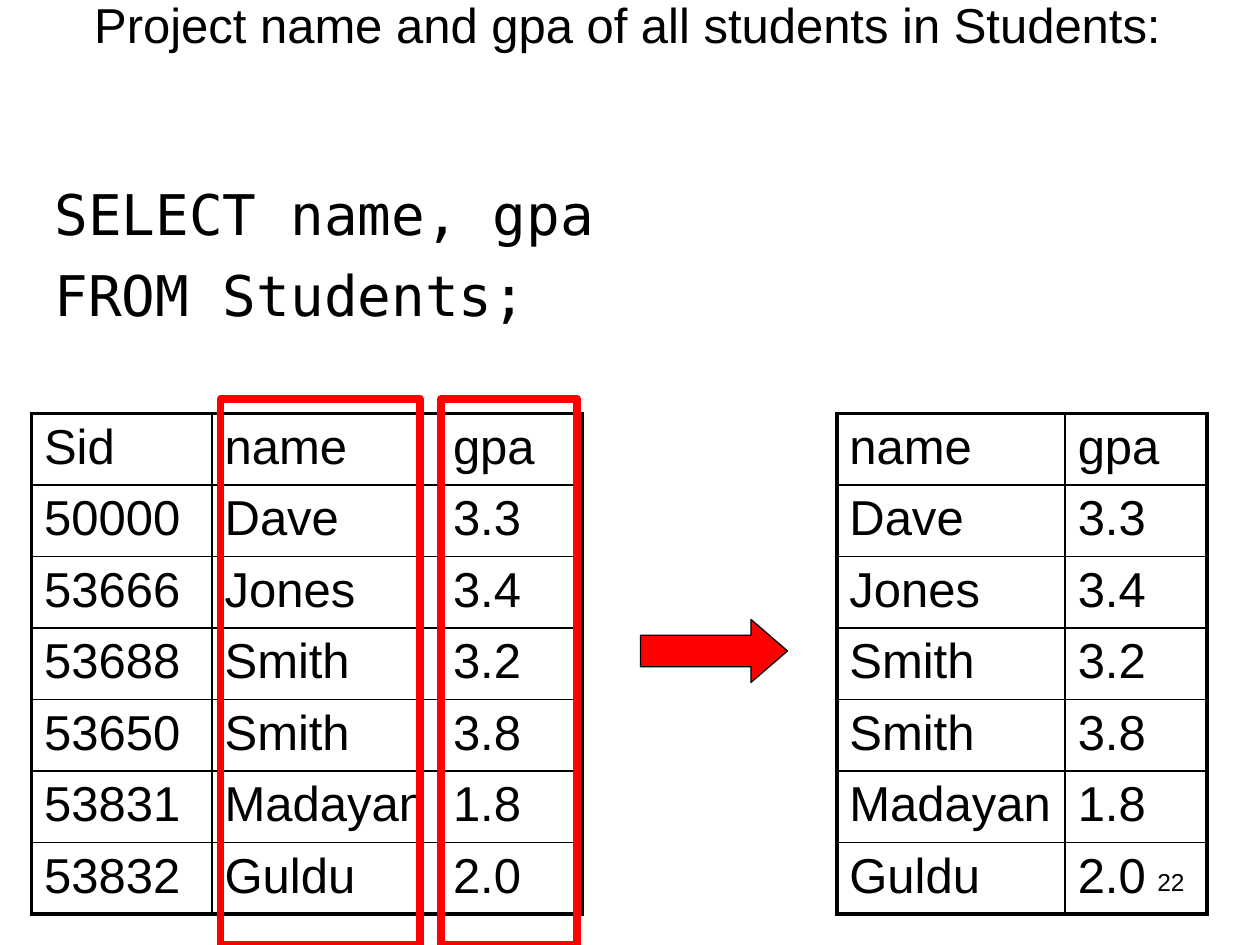
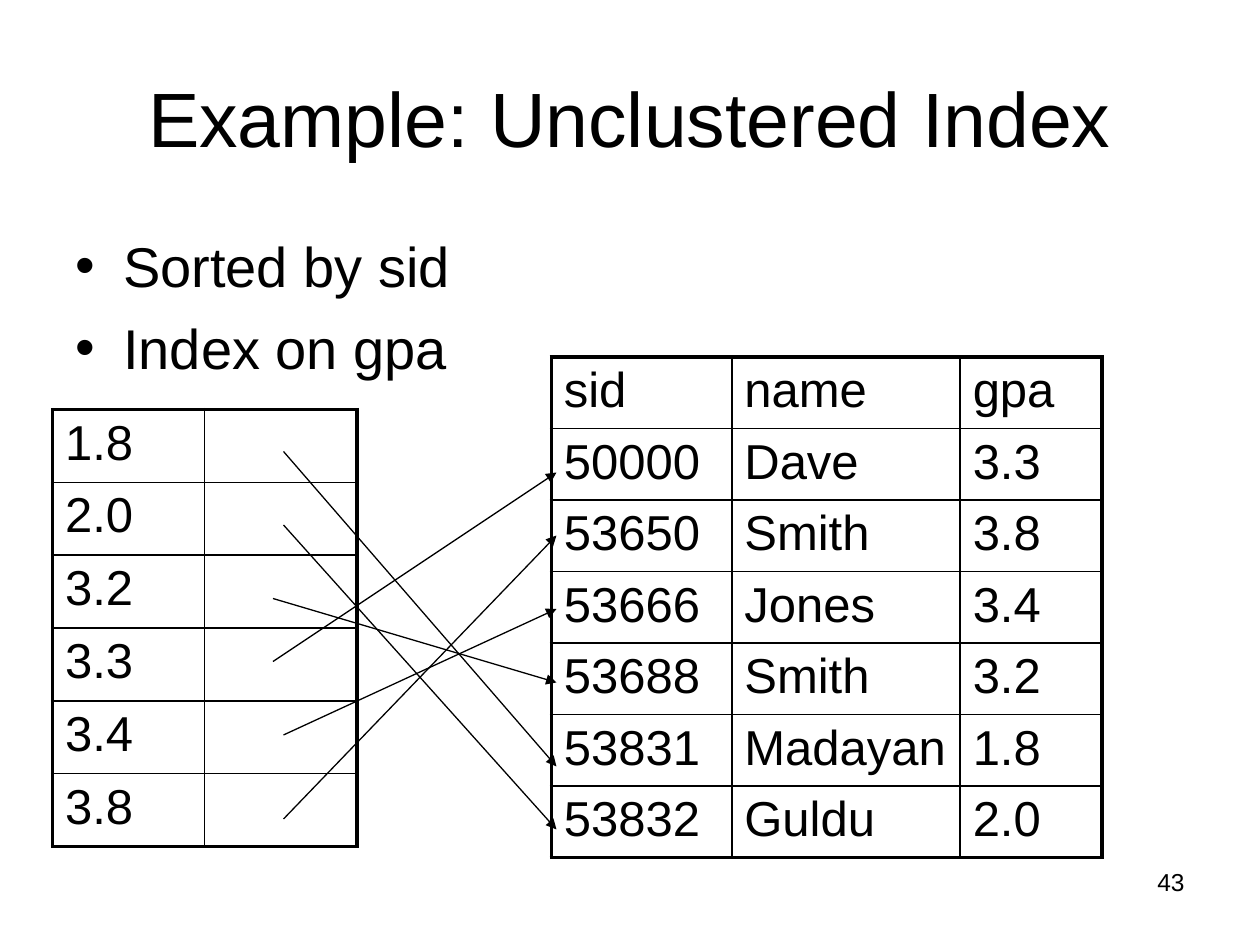
from dataclasses import dataclass

from lxml import etree
from pptx import Presentation
from pptx.dml.color import RGBColor
from pptx.enum.shapes import MSO_CONNECTOR, MSO_SHAPE
from pptx.enum.text import MSO_ANCHOR, PP_ALIGN
from pptx.oxml.ns import qn
from pptx.util import Inches, Pt

RECTANGLE, RIGHT_ARROW = MSO_SHAPE.RECTANGLE, MSO_SHAPE.RIGHT_ARROW
STRAIGHT = MSO_CONNECTOR.STRAIGHT
TOP, MIDDLE = MSO_ANCHOR.TOP, MSO_ANCHOR.MIDDLE
LEFT, CENTER, RIGHT = PP_ALIGN.LEFT, PP_ALIGN.CENTER, PP_ALIGN.RIGHT
GRID_COLUMNS, GRID_ROWS, CELLS_PER_INCH = 120, 90, 12


@dataclass(frozen=True)
class Theme:
    """Colours, fonts, type sizes and line widths of the deck."""
    ink: str = "000000"
    accent: str = "FF0000"
    sans: str = "Arial"
    mono: str = "DejaVu Sans Mono"
    title: int = 44
    body: int = 32
    table: int = 28
    number: int = 14
    body_gap: int = 8
    frame_line: float = 2.25
    inner_line: float = 1
    thin_line: float = 0.75
    highlight_line: float = 4.5


@dataclass(frozen=True)
class Box:
    """A region measured in grid columns and rows."""
    column: float
    row: float
    width: float
    height: float

    def inside(self, column, row, width, height):
        """Return a box placed relative to this one."""
        return Box(self.column + column, self.row + row, width, height)

    def lengths(self):
        """Return left, top, width and height for a shape."""
        return [grid(v) for v in (self.column, self.row, self.width, self.height)]


THEME = Theme()
PAGE = Box(0, 0, GRID_COLUMNS, GRID_ROWS)
SID_WIDTH, NAME_WIDTH, GPA_WIDTH = 17.2, 21.75, 13.5
STUDENT_ROW, INDEX_ROW, INDEX_WIDTH = 6.73, 6.94, 14.5


def grid(count):
    """Turn a count of grid cells into a length."""
    return Inches(count / CELLS_PER_INCH)


def colour(value):
    """Turn a hex value into a colour."""
    return RGBColor.from_string(value)


def add_span(para, text, size, font):
    """Add one run in the ink colour."""
    span = para.add_run()
    span.text = text
    span.font.size = Pt(size)
    span.font.name = font
    span.font.color.rgb = colour(THEME.ink)


def add_text_frame(page, box, anchor=TOP):
    """Add a wrapping text box and return its frame."""
    frame = page.shapes.add_textbox(*box.lengths()).text_frame
    frame.word_wrap = True
    frame.vertical_anchor = anchor
    return frame


def add_line(page, box, text, size, align, anchor=TOP):
    """Add a one-line text box and return its frame."""
    frame = add_text_frame(page, box, anchor)
    frame.paragraphs[0].alignment = align
    add_span(frame.paragraphs[0], text, size, THEME.sans)
    return frame


def add_body(page, box, lines, font, bullet=None):
    """Add body lines with a hanging indent and optional bullets."""
    frame = add_text_frame(page, box)
    frame.margin_top = Inches(0.09)
    for position, text in enumerate(lines):
        para = frame.add_paragraph() if position else frame.paragraphs[0]
        properties = para._p.get_or_add_pPr()
        properties.set("marL", str(Inches(0.38)))
        properties.set("indent", str(Inches(-0.38)))
        if bullet:
            etree.SubElement(properties, qn("a:buFont"), typeface=THEME.sans)
            etree.SubElement(properties, qn("a:buChar"), char=bullet)
        para.alignment = LEFT
        if position:
            para.space_before = Pt(THEME.body_gap)
        add_span(para, text, THEME.body, font)


def add_number(page, box, number):
    """Add the slide number at the lower right of the box."""
    add_line(page, box.inside(86, 82, 28, 6.25), number, THEME.number, RIGHT)


def border_cell(cell, outer_sides):
    """Draw four cell borders, heavier on the table's outer sides."""
    properties = cell._tc.get_or_add_tcPr()
    for side in "LRTB":
        width = THEME.frame_line if side in outer_sides else THEME.inner_line
        line = etree.SubElement(properties, qn(f"a:ln{side}"), w=str(Pt(width)))
        fill = etree.SubElement(line, qn("a:solidFill"))
        etree.SubElement(fill, qn("a:srgbClr"), val=THEME.ink)


def add_data_table(page, column, row, widths, row_height, records):
    """Add a framed table and return the box it fills."""
    box = Box(column, row, sum(widths), row_height * len(records))
    table = page.shapes.add_table(len(records), len(widths), *box.lengths()).table
    table.first_row = table.horz_banding = False
    for table_column, width in zip(table.columns, widths):
        table_column.width = grid(width)
    for y, record in enumerate(records):
        table.rows[y].height = grid(row_height)
        for x, value in enumerate(record):
            cell = table.cell(y, x)
            edges = {"L": x == 0, "R": x == len(widths) - 1,
                     "T": y == 0, "B": y == len(records) - 1}
            border_cell(cell, [side for side, outer in edges.items() if outer])
            cell.fill.background()
            if value:
                add_span(cell.text_frame.paragraphs[0], value, THEME.table, THEME.sans)
    return box


def add_outline_shape(page, kind, box, line, width, fill=None):
    """Add a preset shape with an outline and optional fill."""
    shape = page.shapes.add_shape(kind, *box.lengths())
    shape.shadow.inherit = False
    shape.line.color.rgb = colour(line)
    shape.line.width = Pt(width)
    if fill:
        shape.fill.solid()
        shape.fill.fore_color.rgb = colour(fill)
    else:
        shape.fill.background()
    return shape


def add_pointer(page, box, start, end):
    """Add a thin arrow between two grid points of the box."""
    points = [grid(v) for x, y in (start, end) for v in (box.column + x, box.row + y)]
    pointer = page.shapes.add_connector(STRAIGHT, *points)
    pointer.line.color.rgb = colour(THEME.ink)
    pointer.line.width = Pt(THEME.thin_line)
    properties = pointer._element.spPr
    etree.SubElement(properties.find(qn("a:ln")), qn("a:tailEnd"), type="triangle")
    etree.SubElement(properties, qn("a:effectLst"))


def build_projection(page, box):
    """Show a query that keeps two columns of a table."""
    title = add_line(page, box.inside(5.75, 1, 108, 8),
                     "Project name and gpa of all students in Students:",
                     THEME.table, CENTER, MIDDLE)
    title.margin_bottom = Inches(0.5)
    add_body(page, box.inside(4, 16, 110, 15),
             ["SELECT name, gpa", "FROM Students;"], THEME.mono)
    students = [
        ("Sid", "name", "gpa"),
        ("50000", "Dave", "3.3"),
        ("53666", "Jones", "3.4"),
        ("53688", "Smith", "3.2"),
        ("53650", "Smith", "3.8"),
        ("53831", "Madayan", "1.8"),
        ("53832", "Guldu", "2.0"),
    ]
    source = add_data_table(page, box.column + 3, box.row + 39.4,
                            (SID_WIDTH, NAME_WIDTH, GPA_WIDTH), STUDENT_ROW, students)
    add_data_table(page, box.column + 79.7, box.row + 39.4,
                   (NAME_WIDTH, GPA_WIDTH), STUDENT_ROW,
                   [record[1:] for record in students])
    for column, width in ((18, 19), (39, 13)):
        add_outline_shape(page, RECTANGLE, source.inside(column, -1.4, width, 52),
                          THEME.accent, THEME.highlight_line)
    arrow = add_outline_shape(page, RIGHT_ARROW, box.inside(61, 59, 14, 6),
                              THEME.ink, THEME.thin_line, THEME.accent)
    arrow.adjustments[1] = 0.58
    add_number(page, box, "22")


def build_unclustered_index(page, box):
    """Show index entries that point into a table in another order."""
    add_line(page, box.inside(6, 3.6, 108, 15), "Example: Unclustered Index",
             THEME.title, CENTER, MIDDLE)
    add_body(page, box.inside(6, 21, 108, 59.4),
             ["Sorted by sid", "Index on gpa"], THEME.sans, "•")
    students = [
        ("sid", "name", "gpa"),
        ("50000", "Dave", "3.3"),
        ("53650", "Smith", "3.8"),
        ("53666", "Jones", "3.4"),
        ("53688", "Smith", "3.2"),
        ("53831", "Madayan", "1.8"),
        ("53832", "Guldu", "2.0"),
    ]
    add_data_table(page, box.column + 52.5, box.row + 34,
                   (SID_WIDTH, NAME_WIDTH, GPA_WIDTH), STUDENT_ROW, students)
    entries = sorted(gpa for _, _, gpa in students[1:])
    add_data_table(page, box.column + 5, box.row + 39, (INDEX_WIDTH, INDEX_WIDTH),
                   INDEX_ROW, [(gpa, "") for gpa in entries])
    starts = ((27, 43), (27, 50), (26, 57), (26, 63), (27, 70), (27, 78))
    student_rows = (45, 51, 58, 65, 73, 79)
    row_of = {record[2]: row for record, row in zip(students[1:], student_rows)}
    for gpa, start in zip(entries, starts):
        add_pointer(page, box, start, (53, row_of[gpa]))
    add_number(page, box, "43")


def main():
    """Build and save the deck."""
    deck = Presentation()
    deck.slide_width, deck.slide_height = grid(GRID_COLUMNS), grid(GRID_ROWS)
    for build in (build_projection, build_unclustered_index):
        build(deck.slides.add_slide(deck.slide_layouts[6]), PAGE)
    deck.save("out.pptx")


if __name__ == "__main__":
    main()
